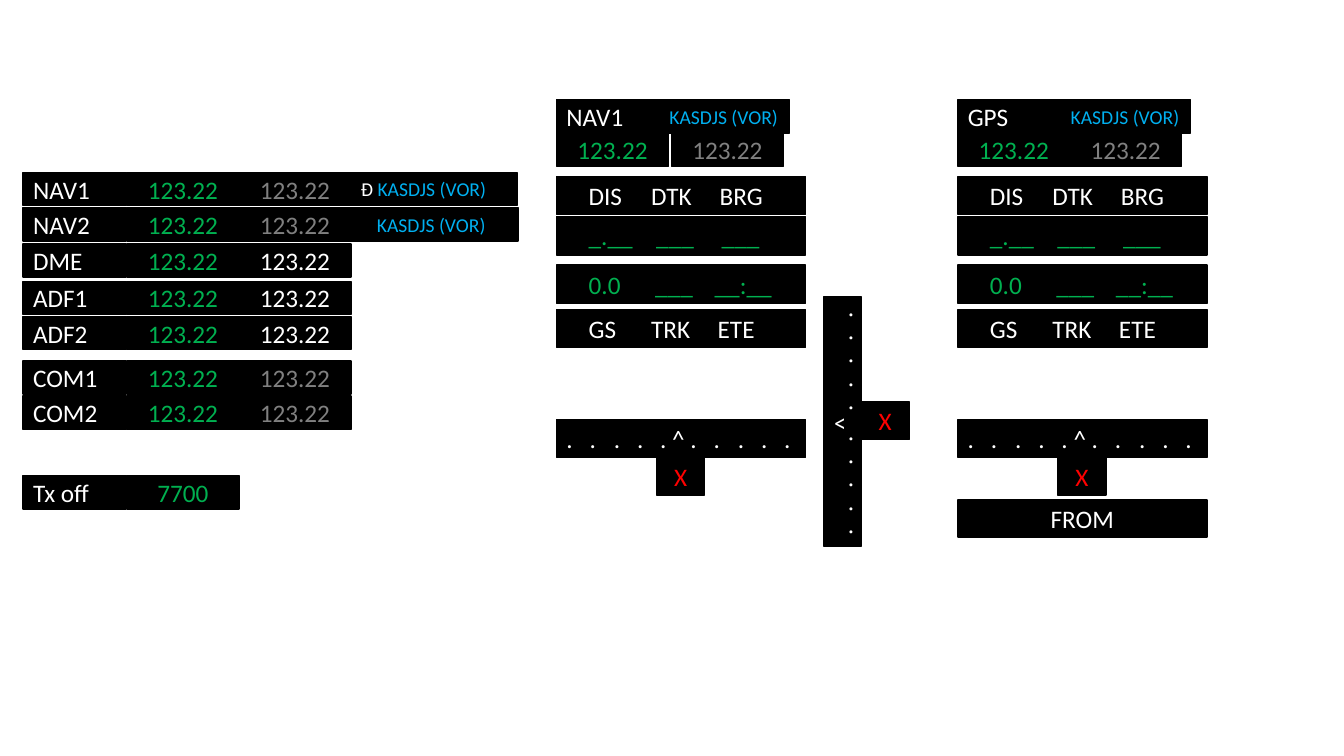
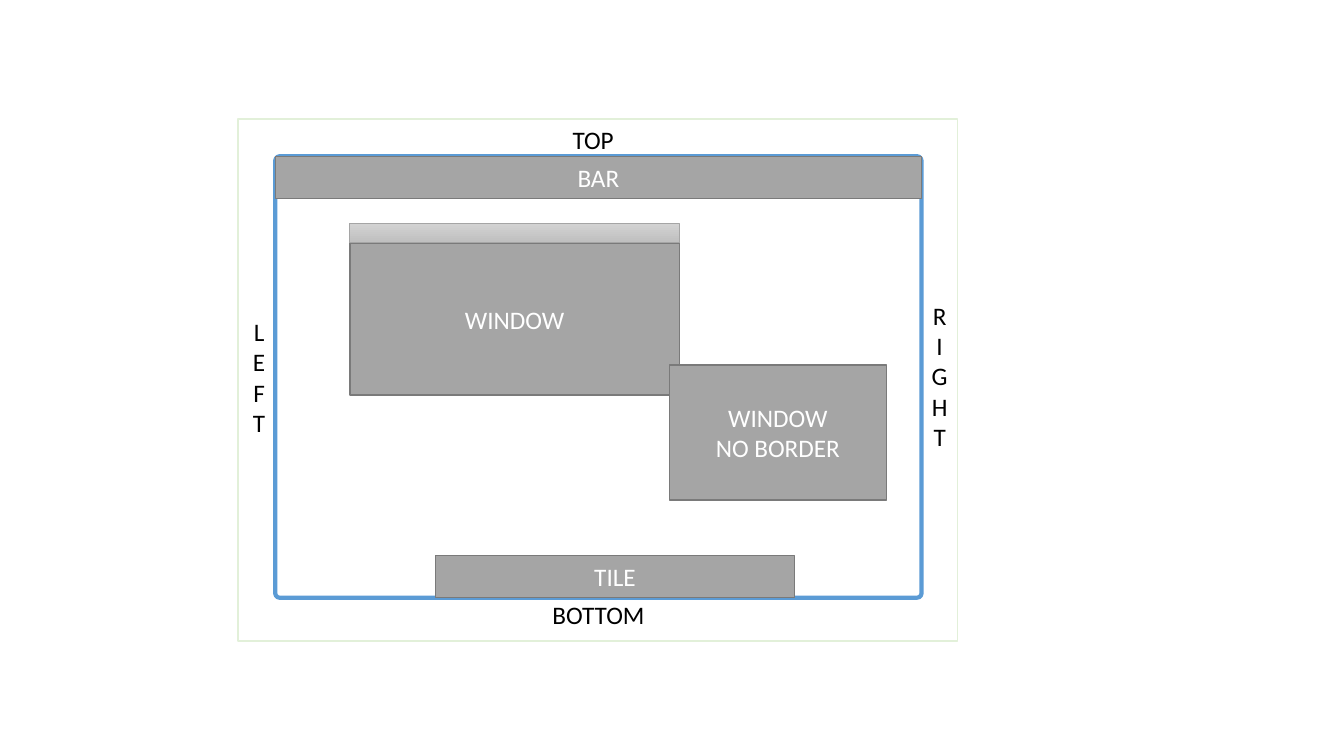
import lxml.etree
import pptx
import pptx.dml.color
import pptx.enum.shapes
import pptx.enum.text
import pptx.oxml.ns
import pptx.util

Inches = pptx.util.Inches
tint = pptx.dml.color.RGBColor.from_string
qn = pptx.oxml.ns.qn
Kind = pptx.enum.shapes.MSO_SHAPE
Align = pptx.enum.text.PP_ALIGN

BLACK, WHITE, GREEN, GREY = "000000", "FFFFFF", "00B050", "808080"
BLUE, RED, STEEL, EDGE = "00B0F0", "FF0000", "A5A5A5", "7A7A7A"


def block(home, spot, fill, line, width=1, kind=Kind.RECTANGLE):
    shape = home.add_shape(kind, *[Inches(side) for side in spot])
    shape.shadow.inherit = False
    if fill:
        shape.fill.solid()
        shape.fill.fore_color.rgb = tint(fill)
    else:
        shape.fill.background()
    shape.line.color.rgb = tint(line)
    shape.line.width = pptx.util.Pt(width)
    return shape


def write(shape, text, hue, size=18, align=Align.CENTER, tabs=()):
    shape.text_frame.text = text
    for para in shape.text_frame.paragraphs:
        para.alignment = align
        for run in para.runs:
            run.font.name = "Calibri"
            run.font.size = pptx.util.Pt(size)
            run.font.color.rgb = tint(hue)
        if tabs:
            stops = lxml.etree.SubElement(para._p.get_or_add_pPr(), qn("a:tabLst"))
            for stop in tabs:
                lxml.etree.SubElement(stops, qn("a:tab"), pos=str(Inches(stop)), algn="l")


deck = pptx.Presentation()
deck.slide_width = Inches(13.33)
deck.slide_height = Inches(7.5)
blank = deck.slide_layouts[6]

radio = deck.slides.add_slide(blank).shapes
freq = "123.22"
code = "KASDJS (VOR)"
high = 0.33
left, mid = Align.LEFT, Align.CENTER

rows = [
    ("NAV1", 1.71, freq, GREY),
    ("NAV2", 2.06, freq, GREY),
    ("DME", 2.42, freq, WHITE),
    ("ADF1", 2.79, freq, WHITE),
    ("ADF2", 3.14, freq, WHITE),
    ("COM1", 3.58, freq, GREY),
    ("COM2", 3.93, freq, GREY),
    ("Tx off", 4.72, "7700", None),
]
cells = []
for name, y, value, hue in rows:
    cells.append(((0.23, y, 1.02, high), name, WHITE, 18, left, ()))
    cells.append(((1.26, y, 1.11, high), value, GREEN, 18, mid, ()))
    if hue:
        cells.append(((2.37, y, 1.11, high), value, hue, 18, mid, ()))
cells.append(((3.47, 2.06, 1.67, high), "\t" + code, BLUE, 14, left, (0.17,)))

dots = ".\t.\t.\t.\t. ^ .\t.\t.\t.\t."
marks = (0.23, 0.47, 0.7, 0.93, 1.46, 1.7, 1.93, 2.16)
lines = [
    (1.75, "\tDIS\tDTK\tBRG", WHITE, (0.22, 0.84, 1.52)),
    (2.15, "\t_.__\t___\t___", GREEN, (0.22, 0.89, 1.54)),
    (2.63, "\t0.0\t___\t__:__", GREEN, (0.22, 0.88, 1.47)),
    (3.07, "\tGS\tTRK\tETE", WHITE, (0.22, 0.84, 1.5)),
    (4.16, dots, WHITE, marks),
]
for x, name, gap in [(5.52, "NAV1", 0.03), (9.5, "GPS", 0)]:
    cells += [
        ((x, 1.32, 1.11, high), freq, GREEN, 18, mid, ()),
        ((x + 1.11 + gap, 1.32, 1.11, high), freq, GREY, 18, mid, ()),
        ((x, 0.99, 1.02, high), name, WHITE, 18, left, ()),
        ((x + 1.02, 0.99, 1.29, high), code, BLUE, 14, left, ()),
        ((x + 0.99, 4.54, 0.48, 0.37), "X", RED, 18, mid, ()),
    ]
    for y, text, hue, tabs in lines:
        cells.append(((x, y, 2.47, 0.38), text, hue, 18, left, tabs))
cells.append(((9.5, 4.96, 2.47, 0.37), "FROM", WHITE, 18, mid, ()))

for spot, *words in cells:
    write(block(radio, spot, BLACK, BLACK), *words)

scale = block(radio, (7.12, 3.99, 2.47, 0.38), BLACK, BLACK)
scale.rotation = 270
write(scale, dots, WHITE, 18, left, marks)
write(block(radio, (8.54, 3.99, 0.48, 0.37), BLACK, BLACK), "X", RED)

ident = block(radio, (3.48, 1.71, 1.65, high), BLACK, BLACK)
write(ident, "Đ ", WHITE, 14, left)
run = ident.text_frame.paragraphs[0].add_run()
run.text = code
run.font.name = "Calibri"
run.font.size = pptx.util.Pt(14)
run.font.color.rgb = tint(BLUE)

screen = deck.slides.add_slide(blank).shapes
frame = block(screen, (2.73, 1.55, 6.41, 4.38), WHITE, "5B9BD5", 3, Kind.ROUNDED_RECTANGLE)
frame.adjustments[0] = 0.01
group = screen.add_group_shape().shapes
panes = [
    (screen, (2.73, 1.55, 6.41, 0.42), "BAR"),
    (screen, (4.32, 5.51, 3.56, 0.42), "TILE"),
    (group, (3.47, 2.41, 3.27, 1.51), "WINDOW"),
    (screen, (6.64, 3.62, 2.15, 1.34), "WINDOW\vNO BORDER"),
]
for home, spot, text in panes:
    write(block(home, spot, STEEL, EDGE), text, WHITE)

strip = block(group, (3.47, 2.22, 3.27, 0.18), STEEL, STEEL, 0.5)
strip.fill.gradient()
strip.fill.gradient_angle = 270
for stop, hue in zip(strip.fill.gradient_stops, ("D2D2D2", "C0C0C0")):
    stop.color.rgb = tint(hue)

sides = [
    ((5.58, 1.18, 0.61, 0.4), "TOP", left),
    ((5.38, 5.9, 1.12, 0.4), "BOTTOM", left),
    ((2.41, 3.09, 0.32, 1.31), "\n".join("LEFT"), mid),
    ((9.14, 2.93, 0.36, 1.62), "\n".join("RIGHT"), mid),
]
for spot, text, align in sides:
    label = screen.add_textbox(*[Inches(side) for side in spot])
    label.text_frame.word_wrap = False
    label.text_frame.auto_size = pptx.enum.text.MSO_AUTO_SIZE.SHAPE_TO_FIT_TEXT
    write(label, text, BLACK, 18, align)

block(screen, (2.36, 1.18, 7.14, 5.18), None, "E2F0D9")

deck.save("out.pptx")
